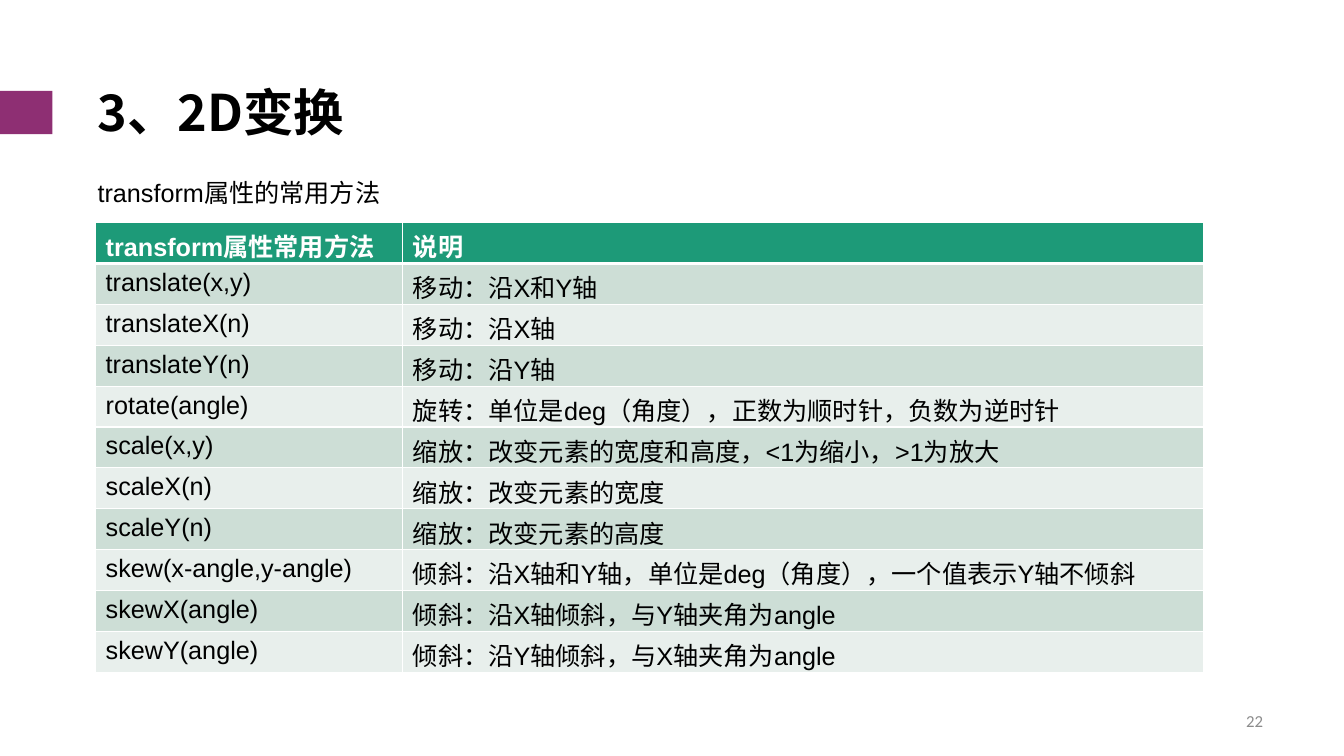
from lxml import etree
from pptx import Presentation
from pptx.dml.color import RGBColor
from pptx.enum.shapes import MSO_SHAPE
from pptx.enum.text import MSO_ANCHOR, PP_ALIGN
from pptx.oxml.ns import qn
from pptx.util import Cm, Pt

RECTANGLE = MSO_SHAPE.RECTANGLE
TOP, MIDDLE = MSO_ANCHOR.TOP, MSO_ANCHOR.MIDDLE
LEFT, RIGHT = PP_ALIGN.LEFT, PP_ALIGN.RIGHT

# Content
TITLE = "3、2D变换"
SUBTITLE = "transform属性的常用方法"
PAGE_NUMBER = "22"
METHODS = [
    ("transform属性常用方法", "说明"),
    ("translate(x,y)", "移动：沿X和Y轴"),
    ("translateX(n)", "移动：沿X轴"),
    ("translateY(n)", "移动：沿Y轴"),
    ("rotate(angle)", "旋转：单位是deg（角度），正数为顺时针，负数为逆时针"),
    ("scale(x,y)", "缩放：改变元素的宽度和高度，<1为缩小，>1为放大"),
    ("scaleX(n)", "缩放：改变元素的宽度"),
    ("scaleY(n)", "缩放：改变元素的高度"),
    ("skew(x-angle,y-angle)", "倾斜：沿X轴和Y轴，单位是deg（角度），一个值表示Y轴不倾斜"),
    ("skewX(angle)", "倾斜：沿X轴倾斜，与Y轴夹角为angle"),
    ("skewY(angle)", "倾斜：沿Y轴倾斜，与X轴夹角为angle"),
]

# Style and layout
CJK_FONT = "Noto Sans CJK SC"
BLACK, WHITE, GREY = "000000", "FFFFFF", "8C8C8C"
PURPLE, GREEN = "8E2F73", "1D9A78"
BANDS = ("E8EFEC", "CDDED6")
COLUMN_WIDTHS = (Cm(7.74), Cm(20.17))
ROW_HEIGHT = Cm(1.03)


def color(value):
    return RGBColor.from_string(value)


def write(frame, text, size=18, font="Arial", fill=BLACK, bold=False,
          align=LEFT, anchor=TOP, spacing=1.0):
    frame.word_wrap = True
    frame.vertical_anchor = anchor
    paragraph = frame.paragraphs[0]
    paragraph.alignment = align
    paragraph.line_spacing = spacing
    run = paragraph.add_run()
    run.text = text
    run.font.size = Pt(size)
    run.font.name = font
    run.font.bold = bold
    run.font.color.rgb = color(fill)
    east_asian = etree.SubElement(run.font._element, qn("a:ea"))
    east_asian.set("typeface", CJK_FONT)


def add_borders(cell, bottom_width):
    properties = cell._tc.get_or_add_tcPr()
    widths = {"a:lnL": 1, "a:lnR": 1, "a:lnT": 1, "a:lnB": bottom_width}
    for side, width in widths.items():
        line = etree.SubElement(properties, qn(side), w=str(Pt(width)))
        solid = etree.SubElement(line, qn("a:solidFill"))
        etree.SubElement(solid, qn("a:srgbClr"), val=WHITE)


presentation = Presentation()
presentation.slide_width, presentation.slide_height = Cm(33.87), Cm(19.05)
slide = presentation.slides.add_slide(presentation.slide_layouts[5])
shapes = slide.shapes

# Title and its accent block
title = shapes.title
title.left, title.top, title.width, title.height = Cm(2.21), Cm(1.32), Cm(30.3), Cm(3.15)
write(title.text_frame, TITLE, size=36, font=CJK_FONT, bold=True,
      anchor=MIDDLE, spacing=0.9)
accent = shapes.add_shape(RECTANGLE, Cm(0), Cm(2.29), Cm(1.32), Cm(1.09))
accent.shadow.inherit = False
accent.fill.solid()
accent.fill.fore_color.rgb = color(PURPLE)
accent.line.fill.background()

# Subtitle and page number
subtitle = shapes.add_textbox(Cm(2.21), Cm(3.96), Cm(27.36), Cm(1.3))
write(subtitle.text_frame, SUBTITLE, spacing=1.5)
page_number = shapes.add_textbox(Cm(24.46), Cm(17.65), Cm(7.62), Cm(1.02))
write(page_number.text_frame, PAGE_NUMBER, size=12, font="Calibri", fill=GREY,
      align=RIGHT, anchor=MIDDLE)

# Table of methods
table = shapes.add_table(len(METHODS), len(COLUMN_WIDTHS), Cm(2.41), Cm(5.61),
                         sum(COLUMN_WIDTHS), ROW_HEIGHT * len(METHODS)).table
for column, width in zip(table.columns, COLUMN_WIDTHS):
    column.width = width
for row, method in enumerate(METHODS):
    table.rows[row].height = ROW_HEIGHT
    is_header = row == 0
    for column, text in enumerate(method):
        cell = table.cell(row, column)
        cell.margin_bottom = Cm(0)
        write(cell.text_frame, text, fill=WHITE if is_header else BLACK, bold=is_header)
        add_borders(cell, bottom_width=3 if is_header else 1)
        cell.fill.solid()
        cell.fill.fore_color.rgb = color(GREEN if is_header else BANDS[row % 2])

presentation.save("out.pptx")
